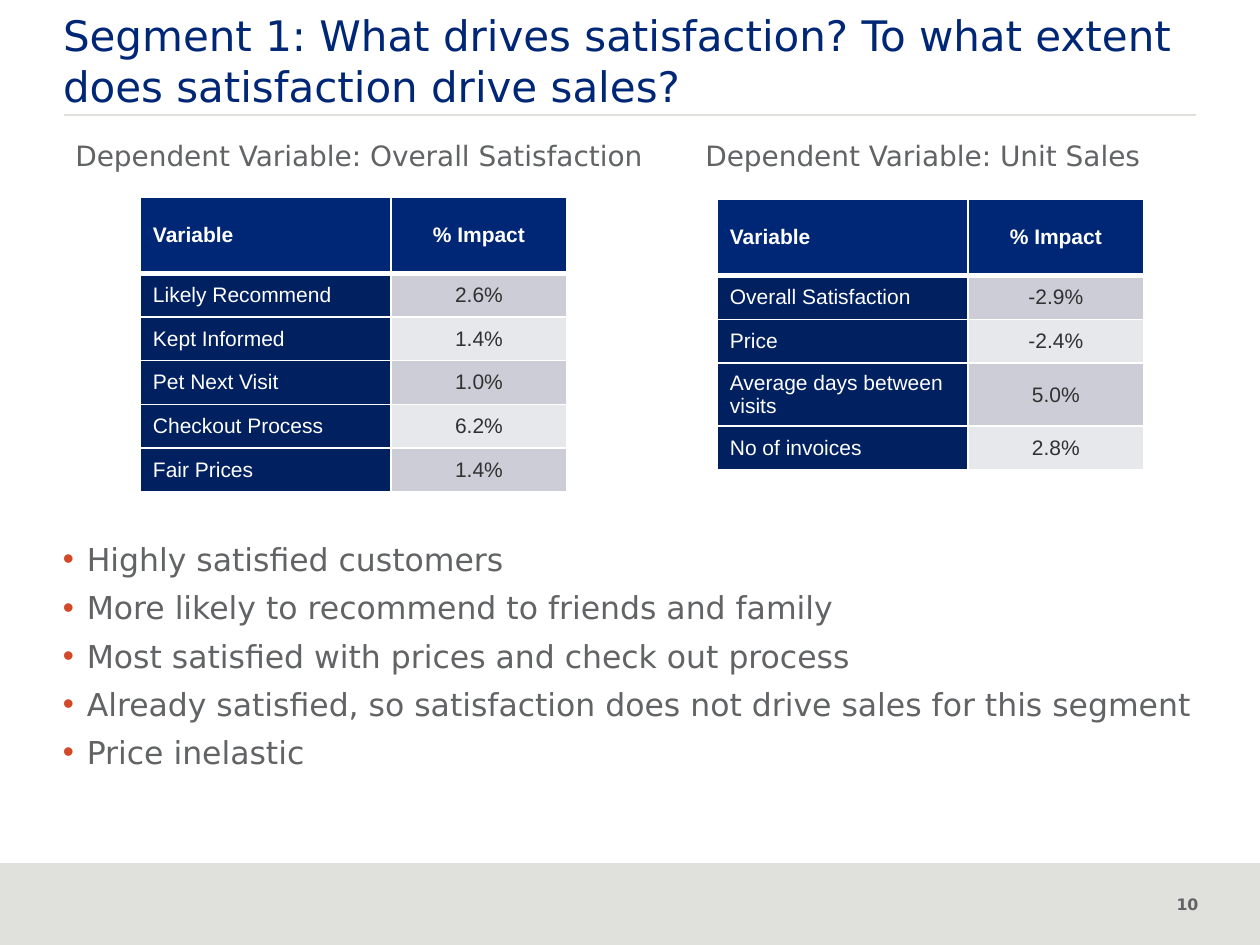
from dataclasses import dataclass

from lxml.etree import SubElement
from pptx import Presentation
from pptx.dml.color import RGBColor as RGB
from pptx.enum.shapes import MSO_CONNECTOR as CONN, MSO_SHAPE as SHAPE
from pptx.enum.text import MSO_ANCHOR as ANCHOR, MSO_AUTO_SIZE as AUTO, PP_ALIGN as ALIGN
from pptx.oxml.ns import qn
from pptx.util import Cm, Pt


@dataclass(frozen=True)
class Theme:
    navy: str = "002776"
    label: str = "002060"
    bands: tuple = ("CCCDD6", "E7E8EC")
    value: str = "303132"
    white: str = "FFFFFF"
    grey: str = "616365"
    pale: str = "E0E1DD"
    bullet: str = "D2492A"
    font: str = "DejaVu Sans"
    table_font: str = "Arial"
    title_size: int = 24
    body_size: int = 18
    caption_size: int = 16
    table_size: int = 12
    number_size: int = 9


theme = Theme()


def add_run(p, text, size, color, font=theme.font, bold=False):
    r = p.add_run()
    r.text = text
    r.font.size = Pt(size)
    r.font.name = font
    r.font.bold = bold
    r.font.color.rgb = RGB.from_string(color)


def set_borders(cell, bottom):
    tc_pr = cell._tc.get_or_add_tcPr()
    for i, (side, width) in enumerate((("L", 1), ("R", 1), ("T", 1), ("B", bottom))):
        ln = SubElement(tc_pr, qn(f"a:ln{side}"), w=str(Pt(width)))
        tc_pr.insert(i, ln)
        fill = SubElement(ln, qn("a:solidFill"))
        SubElement(fill, qn("a:srgbClr"), val=theme.white)


prs = Presentation()
prs.slide_width, prs.slide_height = Cm(25.4), Cm(19.05)
s = prs.slides.add_slide(prs.slide_layouts[5])

# Footer band and page number
sp = s.shapes.add_shape(SHAPE.RECTANGLE, 0, Cm(17.4), Cm(25.4), Cm(1.65))
sp.shadow.inherit = False
sp.fill.solid()
sp.fill.fore_color.rgb = RGB.from_string(theme.pale)
sp.line.fill.background()

sp = s.shapes.add_textbox(Cm(22.84), Cm(17.91), Cm(1.57), Cm(1.02))
tf = sp.text_frame
tf.word_wrap = True
p = tf.paragraphs[0]
p.alignment = ALIGN.RIGHT
add_run(p, "10", theme.number_size, theme.grey, bold=True)

# Title and the rule below it
sp = s.shapes.title
sp.left, sp.top, sp.width, sp.height = Cm(1.27), Cm(0.2), Cm(22.83), Cm(1.75)
tf = sp.text_frame
tf.auto_size = AUTO.NONE
tf.vertical_anchor = ANCHOR.TOP
tf.margin_left = tf.margin_top = tf.margin_right = tf.margin_bottom = 0
p = tf.paragraphs[0]
p.alignment = ALIGN.LEFT
add_run(p, "Segment 1: What drives satisfaction? To what extent does satisfaction drive sales?",
        theme.title_size, theme.navy)

rule = s.shapes.add_connector(CONN.STRAIGHT, Cm(1.3), Cm(2.32), Cm(24.1), Cm(2.32))
rule.line.color.rgb = RGB.from_string(theme.pale)
rule.line.width = Pt(0.75)
SubElement(rule._element.spPr, qn("a:effectLst"))

# Captions and impact tables: caption, caption left and width, table left and top, rows
panels = [
    ("Dependent Variable: Overall Satisfaction", 1.27, 12.14, 2.83, 3.97,
     [("Likely Recommend", "2.6%"), ("Kept Informed", "1.4%"), ("Pet Next Visit", "1.0%"),
      ("Checkout Process", "6.2%"), ("Fair Prices", "1.4%")]),
    ("Dependent Variable: Unit Sales", 13.97, 9.47, 14.46, 4.02,
     [("Overall Satisfaction", "-2.9%"), ("Price", "-2.4%"),
      ("Average days between visits", "5.0%"), ("No of invoices", "2.8%")]),
]
header_h, row_h = 1.54, 0.88
for caption, cap_x, cap_w, x, y, rows in panels:
    sp = s.shapes.add_textbox(Cm(cap_x), Cm(2.67), Cm(cap_w), Cm(0.94))
    tf = sp.text_frame
    tf.word_wrap = False
    add_run(tf.paragraphs[0], caption, theme.caption_size, theme.grey)

    height = header_h + row_h * len(rows)
    table = s.shapes.add_table(len(rows) + 1, 2, Cm(x), Cm(y), Cm(8.6), Cm(height)).table
    table.columns[0].width, table.columns[1].width = Cm(5.05), Cm(3.55)
    for i, texts in enumerate([("Variable", "% Impact")] + rows):
        head = i == 0
        table.rows[i].height = Cm(header_h if head else row_h)
        fills = (theme.navy, theme.navy) if head else (theme.label, theme.bands[(i - 1) % 2])
        for j, text in enumerate(texts):
            cell = table.cell(i, j)
            cell.vertical_anchor = ANCHOR.MIDDLE
            cell.fill.solid()
            cell.fill.fore_color.rgb = RGB.from_string(fills[j])
            set_borders(cell, 3 if head else 1)
            p = cell.text_frame.paragraphs[0]
            p.alignment = ALIGN.CENTER if j else ALIGN.LEFT
            color = theme.value if j and not head else theme.white
            add_run(p, text, theme.table_size, color, theme.table_font, head)

# Findings
findings = [
    "Highly satisfied customers",
    "More likely to recommend to friends and family",
    "Most satisfied with prices and check out process",
    "Already satisfied, so satisfaction does not drive sales for this segment",
    "Price inelastic",
]
sp = s.shapes.add_textbox(Cm(1.27), Cm(10.8), Cm(23.06), Cm(6.15))
tf = sp.text_frame
tf.word_wrap = True
tf.margin_left = tf.margin_top = 0
for i, text in enumerate(findings):
    p = tf.add_paragraph() if i else tf.paragraphs[0]
    p.line_spacing = Pt(24)
    p.space_before = Pt(3.6)
    p_pr = p._p.get_or_add_pPr()
    p_pr.set("marL", str(Cm(0.48)))
    p_pr.set("indent", str(-Cm(0.48)))
    SubElement(SubElement(p_pr, qn("a:buClr")), qn("a:srgbClr"), val=theme.bullet)
    SubElement(p_pr, qn("a:buFont"), typeface="Arial")
    SubElement(p_pr, qn("a:buChar"), char="•")
    add_run(p, text, theme.body_size, theme.grey)

prs.save("out.pptx")
